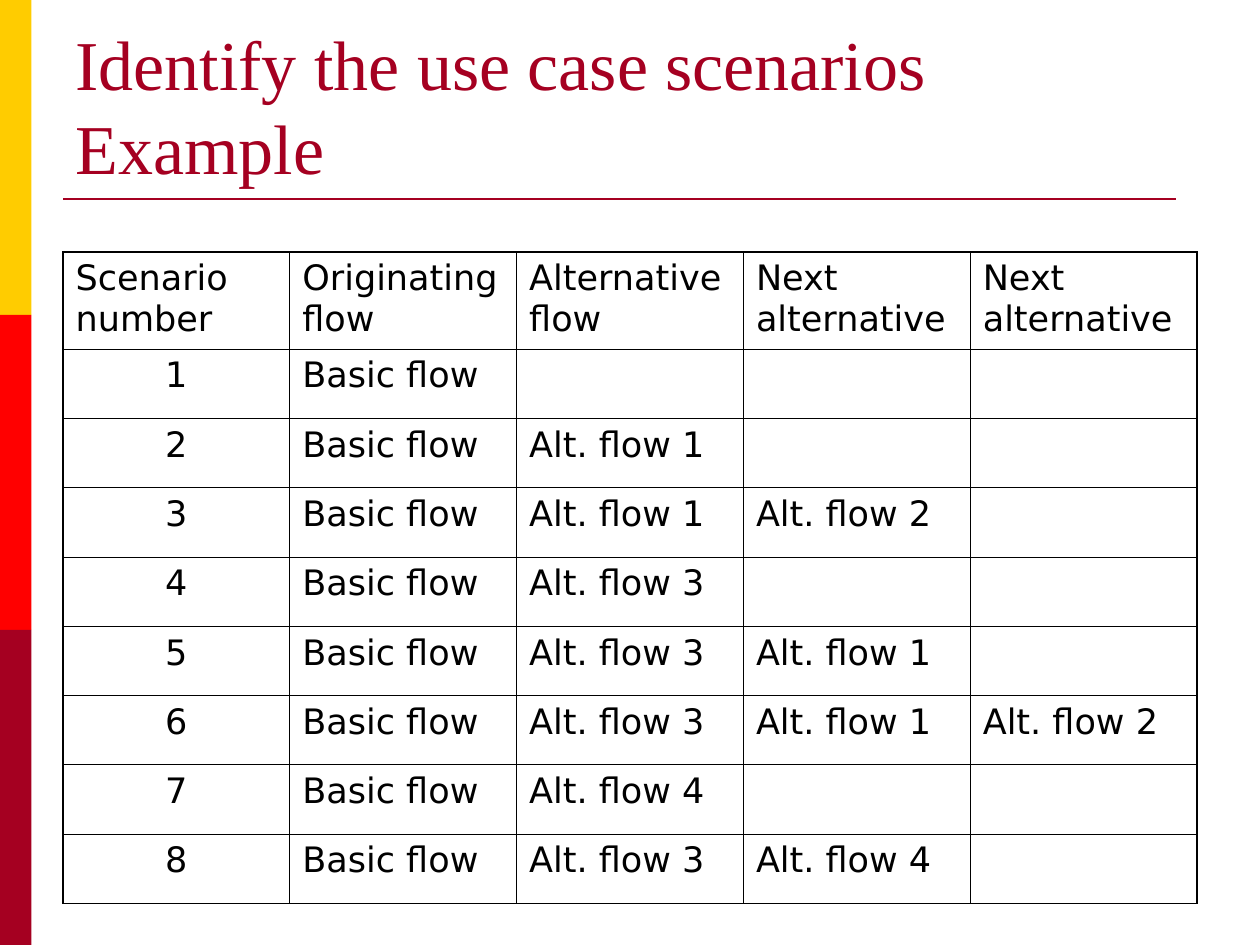
from dataclasses import dataclass

from lxml.etree import SubElement
from pptx import Presentation
from pptx.dml.color import RGBColor
from pptx.enum.shapes import MSO_CONNECTOR, MSO_SHAPE
from pptx.enum.text import MSO_ANCHOR, MSO_AUTO_SIZE, PP_ALIGN
from pptx.oxml import parse_xml
from pptx.oxml.ns import nsdecls, qn
from pptx.util import Inches, Pt

YELLOW = RGBColor(0xFF, 0xCC, 0x00)
RED = RGBColor(0xFF, 0x00, 0x00)
CRIMSON = RGBColor(0xA5, 0x00, 0x21)
BLACK = RGBColor(0x00, 0x00, 0x00)

TITLE_FONT = "Times New Roman"
TABLE_FONT = "DejaVu Sans"

SLIDE_W, SLIDE_H = Inches(10), Inches(7.5)
MARGIN = SLIDE_W // 20
CONTENT_W = SLIDE_W - 2 * MARGIN
BAND_W = SLIDE_W // 40
OUTER_LINE, INNER_LINE = Pt(1.08), Pt(0.45)
HEADER_H, ROW_H = Inches(0.77), Inches(0.55)

HEADERS = ["Scenario number", "Originating flow", "Alternative flow",
           "Next alternative", "Next alternative"]


@dataclass
class Scenario:
    """The numbers of the alternative flows taken after the basic flow."""
    alternatives: tuple[int, ...] = ()

    def cells(self, number: int) -> list[str]:
        flows = [f"Alt. flow {flow}" for flow in self.alternatives]
        texts = [str(number), "Basic flow", *flows]
        return texts + [""] * (len(HEADERS) - len(texts))


SCENARIOS = [Scenario(), Scenario((1,)), Scenario((1, 2)), Scenario((3,)),
             Scenario((3, 1)), Scenario((3, 1, 2)), Scenario((4,)), Scenario((3, 4))]


def add_band(page, index: int, color: RGBColor) -> None:
    height = SLIDE_H // 3
    band = page.shapes.add_shape(MSO_SHAPE.RECTANGLE, 0, index * height, BAND_W, height)
    band.shadow.inherit = False
    band.fill.solid()
    band.fill.fore_color.rgb = color
    band.line.fill.background()


def add_rule(page) -> None:
    top = Inches(1.58)
    rule = page.shapes.add_connector(
        MSO_CONNECTOR.STRAIGHT, MARGIN, top, Inches(9.33), top)
    rule.line.color.rgb = CRIMSON
    rule.line.width = Pt(1.5)
    SubElement(rule._element.spPr, qn("a:effectLst"))


def format_title(page) -> None:
    title = page.shapes.title
    title.left, title.top = MARGIN, Inches(0.3)
    title.width, title.height = CONTENT_W, Inches(1.25)
    frame = title.text_frame
    frame.text = "Identify the use case scenarios\vExample"
    frame.auto_size = MSO_AUTO_SIZE.NONE
    frame.vertical_anchor = MSO_ANCHOR.BOTTOM
    para = frame.paragraphs[0]
    para.alignment = PP_ALIGN.LEFT
    for font in (para.font, *(span.font for span in para.runs)):
        font.name, font.size = TITLE_FONT, Pt(40)
        font.color.rgb = CRIMSON


def set_borders(cell, outer: dict[str, bool]) -> None:
    """Draw the four sides; those flagged True lie on the table's edge."""
    properties = cell._tc.get_or_add_tcPr()
    for index, (side, is_outer) in enumerate(outer.items()):
        width = OUTER_LINE if is_outer else INNER_LINE
        properties.insert(index, parse_xml(
            f'<a:ln{side} {nsdecls("a")} w="{width}"><a:solidFill>'
            f'<a:srgbClr val="{BLACK}"/></a:solidFill></a:ln{side}>'))


def format_cell(cell, text: str, centred: bool) -> None:
    cell.fill.background()
    cell.text_frame.text = text
    para = cell.text_frame.paragraphs[0]
    para.alignment = PP_ALIGN.CENTER if centred else PP_ALIGN.LEFT
    para.space_before = Pt(5)
    for span in para.runs:
        span.font.name, span.font.size = TABLE_FONT, Pt(20)
        span.font.color.rgb = BLACK


def add_scenario_table(page) -> None:
    rows = [HEADERS] + [case.cells(i) for i, case in enumerate(SCENARIOS, 1)]
    last_row, last_col = len(rows) - 1, len(HEADERS) - 1
    table = page.shapes.add_table(
        len(rows), len(HEADERS), MARGIN, Inches(2), CONTENT_W,
        HEADER_H + ROW_H * last_row).table
    table.first_row = table.horz_banding = False
    for r, texts in enumerate(rows):
        table.rows[r].height = ROW_H if r else HEADER_H
        for c, text in enumerate(texts):
            cell = table.cell(r, c)
            format_cell(cell, text, centred=r > 0 and c == 0)
            set_borders(cell, {"L": c == 0, "R": c == last_col,
                               "T": r == 0, "B": r == last_row})


def main() -> None:
    deck = Presentation()
    deck.slide_width, deck.slide_height = SLIDE_W, SLIDE_H
    page = deck.slides.add_slide(deck.slide_layouts[5])

    # Side bands and the rule under the title
    for index, color in enumerate((YELLOW, RED, CRIMSON)):
        add_band(page, index, color)
    add_rule(page)

    # Title and table
    format_title(page)
    add_scenario_table(page)

    deck.save("out.pptx")


if __name__ == "__main__":
    main()
